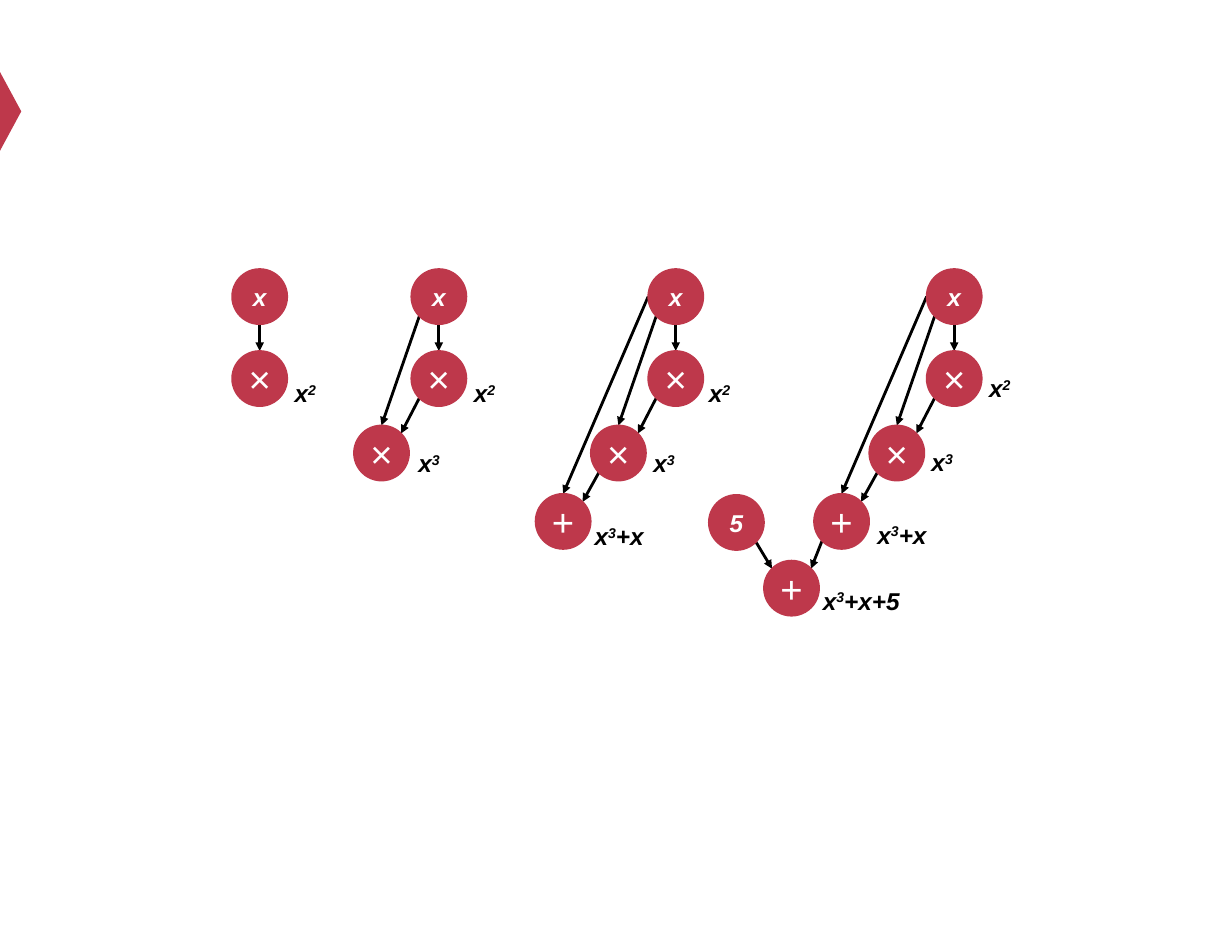
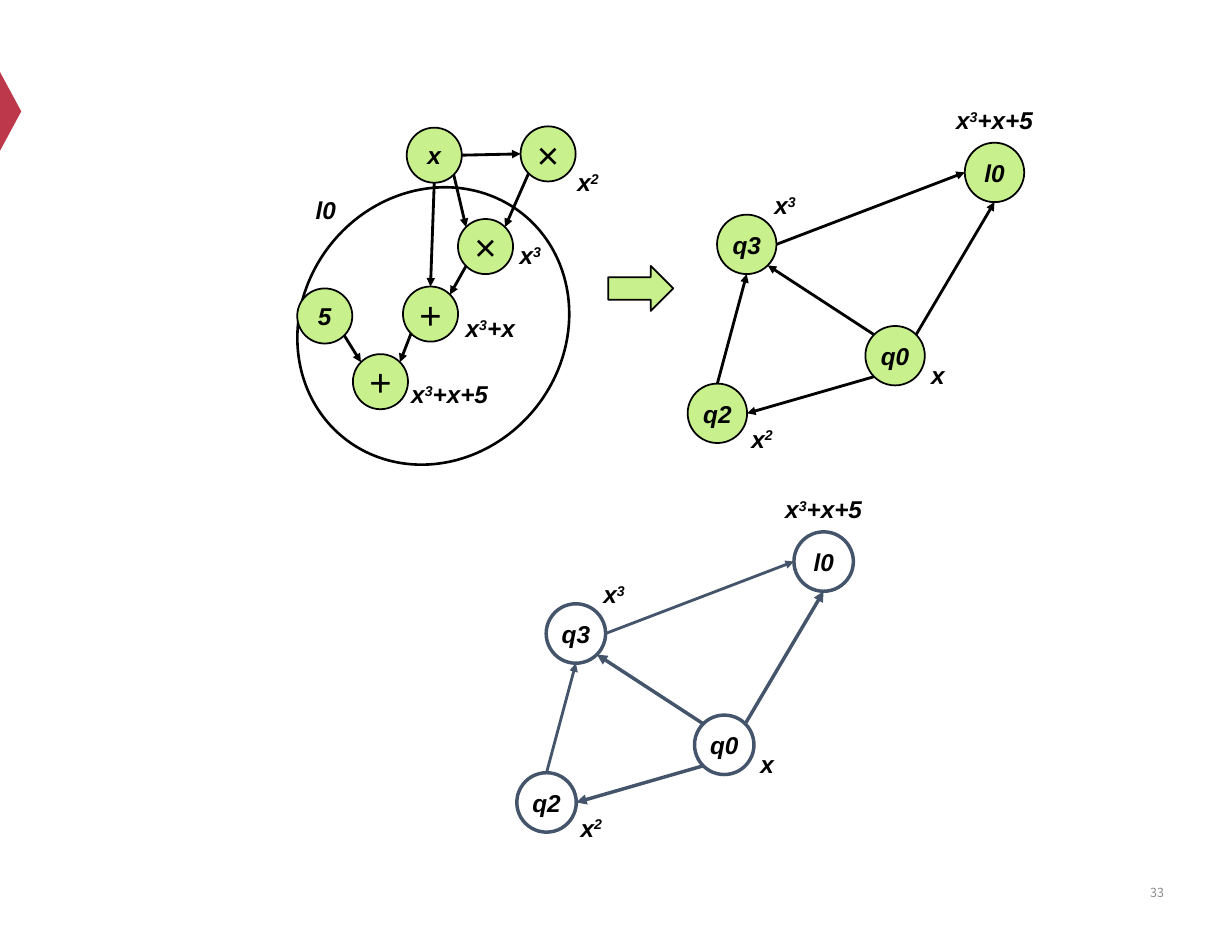
from dataclasses import dataclass, replace
from typing import NamedTuple, Optional

from lxml import etree
from pptx import Presentation
from pptx.dml.color import RGBColor
from pptx.enum.shapes import MSO_CONNECTOR, MSO_SHAPE
from pptx.enum.text import MSO_ANCHOR, PP_ALIGN
from pptx.oxml.ns import qn
from pptx.util import Pt

OVAL, TRIANGLE, RIGHT_ARROW = MSO_SHAPE.OVAL, MSO_SHAPE.ISOSCELES_TRIANGLE, MSO_SHAPE.RIGHT_ARROW
STRAIGHT = MSO_CONNECTOR.STRAIGHT
CENTER, RIGHT = PP_ALIGN.CENTER, PP_ALIGN.RIGHT
MIDDLE = MSO_ANCHOR.MIDDLE


@dataclass(frozen=True)
class Theme:
    red: str = "BE384B"
    green: str = "C8F08C"
    slate: str = "44546A"
    black: str = "000000"
    white: str = "FFFFFF"
    gray: str = "8C8C8C"
    font: str = "Arial"
    page_font: str = "Noto Sans CJK SC"
    text_size: float = 28
    operator_size: float = 44
    page_size: float = 14.4


T = Theme()


@dataclass(frozen=True)
class Node:
    """A circle by its centre; the label centre is offset from it by (dx, dy)."""
    key: str
    text: str
    x: float
    y: float
    label: str = ""
    dx: float = 0
    dy: float = 0


class Edge(NamedTuple):
    start: str
    end: str
    leave: str
    enter: str
    heavy: bool = True


class GraphStyle(NamedTuple):
    diameter: float
    fill: Optional[str]
    outline: str
    outline_width: float
    text: str
    edge: str
    heavy_width: float = 3.25
    light_width: float = 3.25


class Tree(NamedTuple):
    """One build step: root column and the label offset of each stage below the root."""
    x: float
    offsets: tuple[tuple[float, float], ...]


RED_NODES = GraphStyle(63.4, T.red, T.red, 2, T.white, T.black)
GREEN_NODES = GraphStyle(63.4, T.green, T.black, 2, T.black, T.black)
GREEN_STATES = GREEN_NODES._replace(diameter=68.4)
OUTLINED_STATES = GraphStyle(68.4, None, T.slate, 4, T.black, T.slate, heavy_width=4)

DIAGONAL = 0.5 ** 0.5
SITES = {
    "n": (0, -1), "s": (0, 1), "w": (-1, 0), "e": (1, 0),
    "nw": (-DIAGONAL, -DIAGONAL), "ne": (DIAGONAL, -DIAGONAL),
    "sw": (-DIAGONAL, DIAGONAL), "se": (DIAGONAL, DIAGONAL),
}

# Stage positions are relative to the column of the root
STAGES = (
    Node("x", "x", 0, 341.3),
    Node("square", "×", 0, 435.6, "x^2"),
    Node("cube", "×", -66, 521.3, "x^3"),
    Node("sum", "+", -129.6, 600, "x^3+x"),
)
TREES = (
    Tree(298.8, ((52.6, 16.2),)),
    Tree(505, ((52.6, 16.2), (54.7, 11.2))),
    Tree(777.6, ((50.4, 16.2), (52.6, 11.2), (64.4, 17))),
    Tree(1098, ((52.6, 11.2), (52.2, 10.4), (69.5, 15))),
)
TOTAL_NODES = (
    Node("five", "5", 847.4, 601.2),
    Node("total", "+", 910.8, 676.8, "x^3+x+5", 80.3, 14),
)
COMMON_EDGES = (
    Edge("square", "cube", "sw", "ne"),
    Edge("cube", "sum", "sw", "ne"),
    Edge("sum", "total", "sw", "ne"),
    Edge("five", "total", "se", "nw"),
)
TREE_EDGES = COMMON_EDGES + (
    Edge("x", "square", "s", "n"),
    Edge("x", "cube", "sw", "n"),
    Edge("x", "sum", "w", "n"),
)

EXPRESSION_NODES = (
    Node("x", "x", 499.7, 178.6),
    Node("square", "×", 630.7, 177.1, "x^2", 46, 32),
    Node("cube", "×", 558.7, 283.7, "x^3", 51.5, 9.7),
    Node("sum", "+", 495.4, 361.4, "x^3+x", 68.8, 16.2),
    Node("five", "5", 373.7, 363.6),
    Node("total", "+", 437.8, 439.2, "x^3+x+5", 79.6, 14),
)
EXPRESSION_EDGES = COMMON_EDGES + (
    Edge("x", "square", "e", "w"),
    Edge("x", "cube", "se", "nw"),
    Edge("x", "sum", "s", "n"),
)

STATE_NODES = (
    Node("l0", "l0", 1144.4, 198.4, "x^3+x+5", 0, -60.5),
    Node("q3", "q3", 859.3, 281.2, "x^3", 44, -45.4),
    Node("q2", "q2", 825.5, 475.6, "x^2", 51.5, 28.8),
    Node("q0", "q0", 1030, 409.3, "x", 49.3, 22.3),
)
STATE_EDGES = (
    Edge("q2", "q3", "n", "s", heavy=False),
    Edge("q0", "q3", "nw", "se"),
    Edge("q0", "q2", "sw", "e"),
    Edge("q3", "l0", "e", "w", heavy=False),
    Edge("q0", "l0", "ne", "s"),
)


def rgb(color: str) -> RGBColor:
    return RGBColor.from_string(color)


def write(tf, text: str, *, size: float = T.text_size, color: str = T.black,
          font: str = T.font, bold: bool = True, italic: bool = True,
          align=CENTER, margin: float = 0) -> None:
    """Fill a text frame; the character after each ^ is raised."""
    tf.word_wrap = True
    tf.vertical_anchor = MIDDLE
    tf.margin_left = tf.margin_right = Pt(margin)
    tf.margin_top = tf.margin_bottom = 0
    p = tf.paragraphs[0]
    p.alignment = align
    first, *raised = text.split("^")
    pieces = [(first, False)]
    for part in raised:
        pieces += [(part[0], True), (part[1:], False)]
    for piece, superscript in pieces:
        if not piece:
            continue
        r = p.add_run()
        r.text = piece
        r.font.name, r.font.size = font, Pt(size)
        r.font.bold, r.font.italic = bold, italic
        r.font.color.rgb = rgb(color)
        if superscript:
            r._r.get_or_add_rPr().set("baseline", "30000")


def add_centered(s, kind, x: float, y: float, w: float, h: float, *,
                 fill: Optional[str] = None, line: Optional[str] = None,
                 width: float = 2, rotation: float = 0):
    sp = s.shapes.add_shape(kind, Pt(x - w / 2), Pt(y - h / 2), Pt(w), Pt(h))
    sp.shadow.inherit = False
    sp.rotation = rotation
    if fill:
        sp.fill.solid()
        sp.fill.fore_color.rgb = rgb(fill)
    else:
        sp.fill.background()
    if line:
        sp.line.color.rgb = rgb(line)
        sp.line.width = Pt(width)
    else:
        sp.line.fill.background()
    return sp


def add_label(s, text: str, x: float, y: float) -> None:
    w, h = 124, 41
    box = s.shapes.add_textbox(Pt(x - w / 2), Pt(y - h / 2), Pt(w), Pt(h))
    write(box.text_frame, text)


def add_arrow(s, start: tuple[float, float], end: tuple[float, float],
              color: str, width: float) -> None:
    c = s.shapes.add_connector(STRAIGHT, *(Pt(v) for v in (*start, *end)))
    c.line.color.rgb = rgb(color)
    c.line.width = Pt(width)
    sp_pr = c._element.spPr
    etree.SubElement(sp_pr.find(qn("a:ln")), qn("a:tailEnd"), type="triangle")
    etree.SubElement(sp_pr, qn("a:effectLst"))


def site(node: Node, name: str, diameter: float) -> tuple[float, float]:
    """Point on the rim of a node in a compass direction."""
    dx, dy = SITES[name]
    return node.x + dx * diameter / 2, node.y + dy * diameter / 2


def draw_graph(s, nodes: tuple[Node, ...], edges: tuple[Edge, ...], style: GraphStyle) -> None:
    """Draw arrows, then labels, then nodes; edges to absent nodes are skipped."""
    by_key = {n.key: n for n in nodes}
    d = style.diameter
    for e in edges:
        if e.start in by_key and e.end in by_key:
            add_arrow(s, site(by_key[e.start], e.leave, d), site(by_key[e.end], e.enter, d),
                      style.edge, style.heavy_width if e.heavy else style.light_width)
    for n in nodes:
        if n.label:
            add_label(s, n.label, n.x + n.dx, n.y + n.dy)
    for n in nodes:
        sp = add_centered(s, OVAL, n.x, n.y, d, d, fill=style.fill,
                          line=style.outline, width=style.outline_width)
        operator = n.text in "×+"
        write(sp.text_frame, n.text, color=style.text, bold=not operator, italic=not operator,
              size=T.operator_size if operator else T.text_size)


def tree_nodes(tree: Tree) -> tuple[Node, ...]:
    offsets = ((0, 0), *tree.offsets)
    return tuple(replace(n, x=tree.x + n.x, dx=dx, dy=dy)
                 for n, (dx, dy) in zip(STAGES, offsets))


def new_slide(prs):
    s = prs.slides.add_slide(prs.slide_layouts[6])
    add_centered(s, TRIANGLE, 12.2, 128.2, 90.7, 24.5, fill=T.red, rotation=90)
    return s


def add_page_number(s, number: int) -> None:
    box = s.shapes.add_textbox(Pt(1016), Pt(998.6), Pt(330.5), Pt(57.6))
    write(box.text_frame, str(number), size=T.page_size, color=T.gray, font=T.page_font,
          bold=False, italic=False, align=RIGHT, margin=7.2)


def build_steps_slide(prs) -> None:
    s = new_slide(prs)
    for tree in TREES:
        nodes = tree_nodes(tree)
        if tree is TREES[-1]:
            nodes += TOTAL_NODES
        draw_graph(s, nodes, TREE_EDGES, RED_NODES)


def build_states_slide(prs) -> None:
    s = new_slide(prs)
    add_centered(s, OVAL, 498.6, 375.1, 301.7, 329.8, fill=T.white,
                 line=T.black, width=3, rotation=38.5)
    add_label(s, "l0", 374.8, 241.6)
    add_page_number(s, 33)
    draw_graph(s, EXPRESSION_NODES, EXPRESSION_EDGES, GREEN_NODES)
    add_centered(s, RIGHT_ARROW, 737.3, 331.9, 74.9, 51.8, fill=T.green, line=T.black)
    draw_graph(s, STATE_NODES, STATE_EDGES, GREEN_STATES)
    lower_nodes = tuple(replace(n, x=n.x - 196.6, y=n.y + 447.8) for n in STATE_NODES)
    draw_graph(s, lower_nodes, STATE_EDGES, OUTLINED_STATES)


def main() -> None:
    prs = Presentation()
    prs.slide_width, prs.slide_height = Pt(1417.7), Pt(1077.1)
    build_steps_slide(prs)
    build_states_slide(prs)
    prs.save("out.pptx")


if __name__ == "__main__":
    main()
